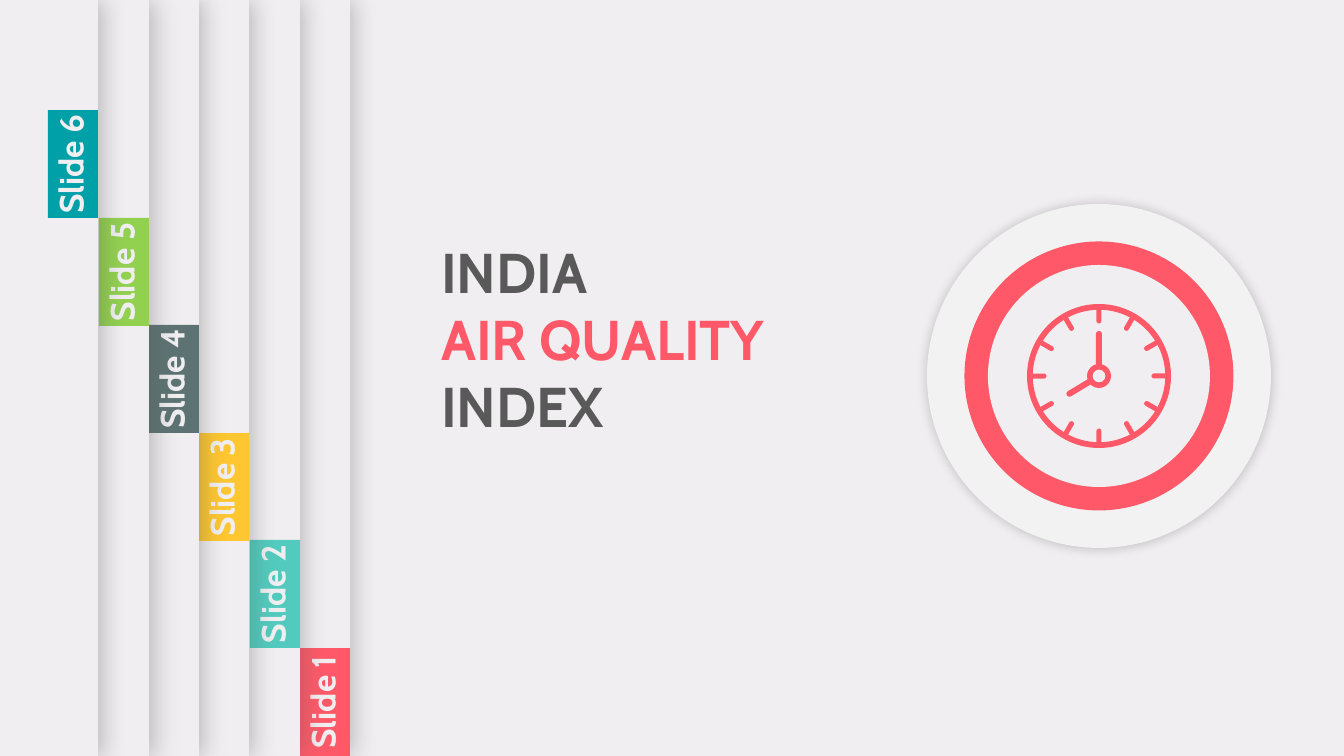
from math import cos, radians, sin

from lxml.etree import SubElement
from pptx import Presentation
from pptx.dml.color import RGBColor
from pptx.enum.shapes import MSO_SHAPE as Preset
from pptx.enum.text import MSO_ANCHOR as Anchor, MSO_AUTO_SIZE as AutoSize, PP_ALIGN as Align
from pptx.oxml.ns import qn
from pptx.util import Pt

EMU_PER_PX = 914400 / 100.8
WIDTH, HEIGHT = 1344, 756
PAPER, DISC, GREY, CORAL = "F0EEF0", "F2F2F2", "595959", "FF5969"
TAB_COLOURS = [CORAL, "52CBBE", "FEC630", "5D7373", "92D050", "00A0A8"]
TAB_WIDTH, TAB_HEIGHT = 50, 108
CLOCK_X, CLOCK_Y = 1099, 376


def px(length):
    return round(length * EMU_PER_PX)


def colour(value):
    return RGBColor.from_string(value)


class Deck:
    """Holds the presentation, its font and the current slide."""

    font = "Cabin"

    def __init__(self):
        self.presentation = Presentation()
        self.presentation.slide_width = px(WIDTH)
        self.presentation.slide_height = px(HEIGHT)
        self.slide = self.presentation.slides.add_slide(self.presentation.slide_layouts[5])
        self.slide.background.fill.solid()
        self.slide.background.fill.fore_color.rgb = colour(PAPER)

    def style(self, run, size, hex_colour):
        run.font.name = self.font
        run.font.size = Pt(size)
        run.font.bold = True
        run.font.color.rgb = colour(hex_colour)

    def title(self, x, y, w, h, paragraphs):
        """Fill the title from paragraphs of (text, colour) parts."""
        title = self.slide.shapes.title
        title.left, title.top, title.width, title.height = map(px, (x, y, w, h))
        frame = title.text_frame
        frame.word_wrap = True
        frame.auto_size = AutoSize.NONE
        frame.vertical_anchor = Anchor.TOP
        for index, parts in enumerate(paragraphs):
            paragraph = frame.add_paragraph() if index else frame.paragraphs[0]
            paragraph.alignment = Align.LEFT
            for text, hex_colour in parts:
                run = paragraph.add_run()
                run.text = text
                self.style(run, 40, hex_colour)

    def shape(self, preset, x, y, w, h, fill, adjustments=()):
        shape = self.slide.shapes.add_shape(preset, *map(px, (x, y, w, h)))
        shape.fill.solid()
        shape.fill.fore_color.rgb = colour(fill)
        shape.line.fill.background()
        shape.shadow.inherit = False
        for index, value in enumerate(adjustments):
            shape.adjustments[index] = value
        return shape

    def round(self, preset, diameter, fill, adjustments=()):
        """Add a round shape centred on the clock."""
        return self.shape(preset, CLOCK_X - diameter / 2, CLOCK_Y - diameter / 2,
                          diameter, diameter, fill, adjustments)

    def spoke(self, preset, angle, radius, w, h, adjustments):
        """Add a bar that points outwards, its middle at radius from the clock centre."""
        x = CLOCK_X + radius * sin(radians(angle))
        y = CLOCK_Y - radius * cos(radians(angle))
        bar = self.shape(preset, x - w / 2, y - h / 2, w, h, CORAL, adjustments)
        bar.rotation = angle

    def shadow(self, shape, hex_colour, opacity, blur, distance):
        """Cast a shadow to the right; opacity in percent, lengths in points."""
        effects = shape._element.spPr.find(qn("a:effectLst"))
        outer = SubElement(effects, qn("a:outerShdw"), blurRad=str(Pt(blur)),
                           dist=str(Pt(distance)), dir="0", algn="ctr", rotWithShape="0")
        tint = SubElement(outer, qn("a:srgbClr"), val=hex_colour)
        SubElement(tint, qn("a:alpha"), val=str(opacity * 1000))

    def upright_label(self, text, centre_x, centre_y, w, h):
        label = self.slide.shapes.add_textbox(
            *map(px, (centre_x - w / 2, centre_y - h / 2, w, h)))
        label.rotation = 270
        frame = label.text_frame
        frame.word_wrap = True
        frame.margin_left = frame.margin_right = 0
        frame.text = text
        frame.paragraphs[0].alignment = Align.CENTER
        self.style(frame.paragraphs[0].runs[0], 24, PAPER)


def add_clock(deck):
    rim = deck.round(Preset.OVAL, 344, DISC)
    deck.shadow(rim, "000000", 20, 8, 0)
    deck.round(Preset.OVAL, 269, CORAL)
    deck.round(Preset.OVAL, 222, PAPER)
    for angle in range(0, 360, 30):
        deck.spoke(Preset.ROUNDED_RECTANGLE, angle, 61, 5, 17, [0.5])
    deck.round(Preset.DONUT, 144, CORAL, [0.04])
    deck.round(Preset.DONUT, 24, CORAL, [0.23])
    for angle, radius, length in [(239, 23, 29), (0, 28, 34)]:
        deck.spoke(Preset.ROUND_2_SAME_RECTANGLE, angle, radius, 6, length, [0.5, 0])


def add_tabs(deck):
    for index, tab_colour in enumerate(TAB_COLOURS):
        left = 300 - round(50.3 * index)
        top = 648 - round(107.6 * index)
        panel = deck.shape(Preset.RECTANGLE, 0, 0, left + TAB_WIDTH, HEIGHT, PAPER)
        deck.shadow(panel, GREY, 35, 17, 3)
        deck.shape(Preset.RECTANGLE, left, top, TAB_WIDTH, TAB_HEIGHT, tab_colour)
        deck.upright_label(f"Slide {index + 1}", left + TAB_WIDTH / 2 - 3,
                           top + TAB_HEIGHT / 2, 120, 50)


def main():
    deck = Deck()
    deck.title(431, 232, 486, 214, [
        [("INDIA", GREY)],
        [("AIR QUALITY ", CORAL), ("INDEX", GREY)],
    ])
    add_clock(deck)
    add_tabs(deck)
    deck.presentation.save("out.pptx")


if __name__ == "__main__":
    main()
